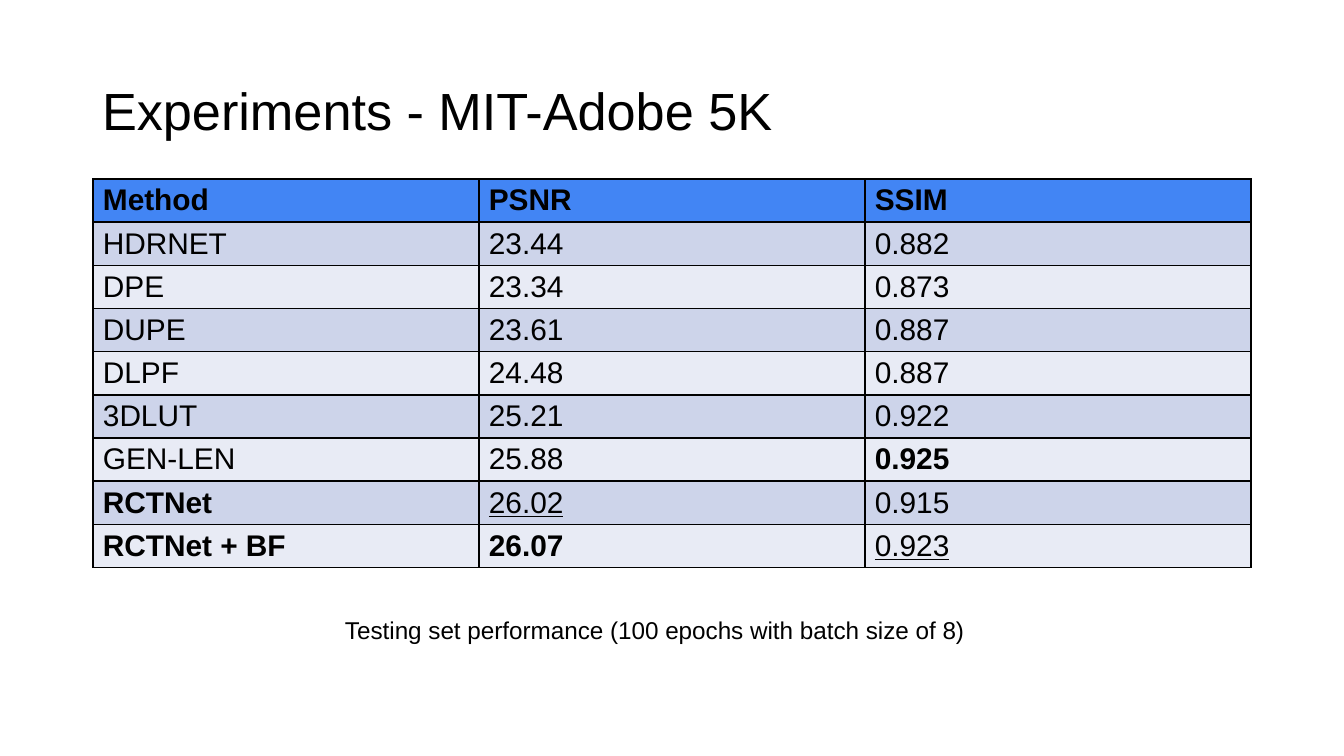
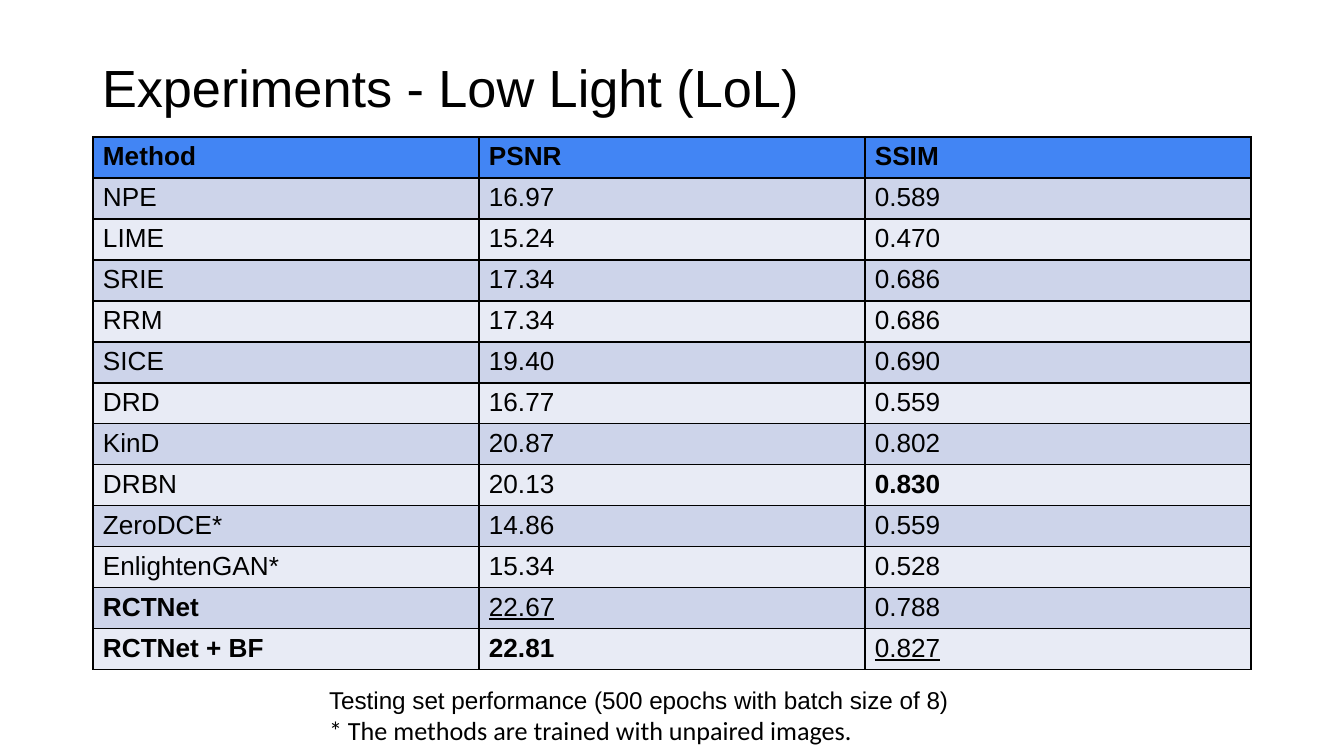
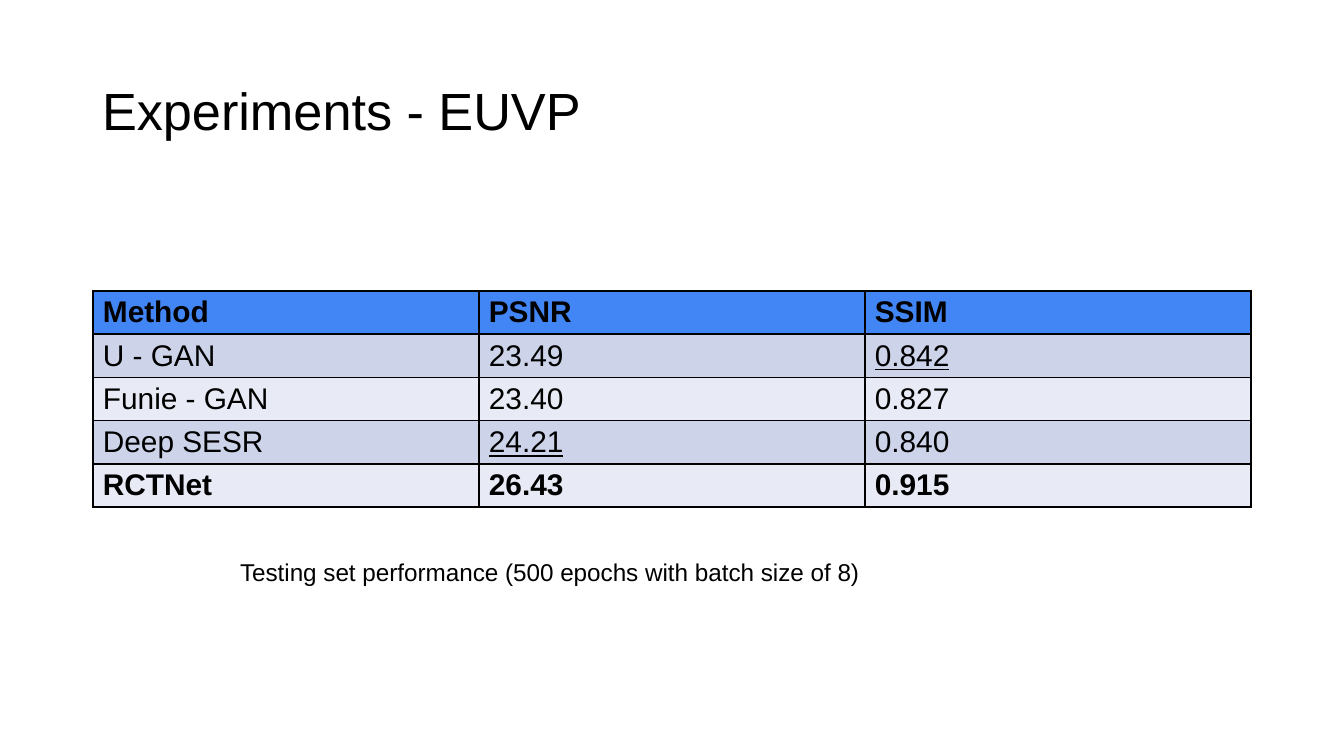
from lxml import etree
from pptx import Presentation
from pptx.dml.color import RGBColor
from pptx.enum.text import MSO_ANCHOR, MSO_AUTO_SIZE, PP_ALIGN
from pptx.oxml.ns import qn
from pptx.util import Emu, Pt

LEFT = PP_ALIGN.LEFT
TOP = MSO_ANCHOR.TOP
MIDDLE = MSO_ANCHOR.MIDDLE
NO_FIT = MSO_AUTO_SIZE.NONE
GROW = MSO_AUTO_SIZE.SHAPE_TO_FIT_TEXT

EMU_PER_PX = 914400 / 134.4
COLORS = {
    "text": "000000",
    "border": "000000",
    "background": "FFFFFF",
    "header": "4285F4",
    "odd_row": "CDD4EA",
    "even_row": "E8EBF5",
}
BODY_FONT = "Arial"
NOTE_FONT = "Calibri"
MARGIN_LEFT = 93
CONTENT_WIDTH = 1159
COLUMN_WIDTH = 386
TITLE_HEIGHT = 147
HEADINGS = ("Method", "PSNR", "SSIM")
OWN_METHOD = "RCTNet"

ADOBE_RESULTS = [
    ("HDRNET", "23.44", "0.882"),
    ("DPE", "23.34", "0.873"),
    ("DUPE", "23.61", "0.887"),
    ("DLPF", "24.48", "0.887"),
    ("3DLUT", "25.21", "0.922"),
    ("GEN-LEN", "25.88", "0.925"),
    ("RCTNet", "26.02", "0.915"),
    ("RCTNet + BF", "26.07", "0.923"),
]
LOW_LIGHT_RESULTS = [
    ("NPE", "16.97", "0.589"),
    ("LIME", "15.24", "0.470"),
    ("SRIE", "17.34", "0.686"),
    ("RRM", "17.34", "0.686"),
    ("SICE", "19.40", "0.690"),
    ("DRD", "16.77", "0.559"),
    ("KinD", "20.87", "0.802"),
    ("DRBN", "20.13", "0.830"),
    ("ZeroDCE*", "14.86", "0.559"),
    ("EnlightenGAN*", "15.34", "0.528"),
    ("RCTNet", "22.67", "0.788"),
    ("RCTNet + BF", "22.81", "0.827"),
]
EUVP_RESULTS = [
    ("U - GAN", "23.49", "0.842"),
    ("Funie - GAN", "23.40", "0.827"),
    ("Deep SESR", "24.21", "0.840"),
    ("RCTNet", "26.43", "0.915"),
]


def px(length):
    return Emu(round(length * EMU_PER_PX))


def color(name):
    return RGBColor.from_string(COLORS[name])


def set_margins(target, horizontal, vertical):
    target.margin_left = target.margin_right = px(horizontal)
    target.margin_top = target.margin_bottom = px(vertical)


def style_paragraph(para, size, font_name=BODY_FONT, spacing=None):
    para.alignment = LEFT
    para.line_spacing = spacing
    para.font.size = Pt(size)
    para.font.name = font_name
    para.font.color.rgb = color("text")


def add_page(deck, title, title_top):
    page = deck.slides.add_slide(deck.slide_layouts[5])
    page.background.fill.solid()
    page.background.fill.fore_color.rgb = color("background")
    box = page.shapes.title
    box.left, box.top = px(MARGIN_LEFT), px(title_top)
    box.width, box.height = px(CONTENT_WIDTH), px(TITLE_HEIGHT)
    frame = box.text_frame
    frame.text = title
    frame.word_wrap = True
    frame.auto_size = NO_FIT
    frame.vertical_anchor = MIDDLE
    set_margins(frame, 9, 5)
    style_paragraph(frame.paragraphs[0], 28, spacing=0.9)
    return page


def add_borders(cell):
    properties = cell._tc.get_or_add_tcPr()
    for side in ("a:lnL", "a:lnR", "a:lnT", "a:lnB"):
        line = etree.SubElement(properties, qn(side), w=str(Pt(1)))
        fill = etree.SubElement(line, qn("a:solidFill"))
        etree.SubElement(fill, qn("a:srgbClr"), val=COLORS["border"])


def fill_cell(cell, text, size, fill_name, bold, underline):
    cell.text = text
    set_margins(cell, 10, 5)
    cell.vertical_anchor = TOP
    add_borders(cell)
    cell.fill.solid()
    cell.fill.fore_color.rgb = color(fill_name)
    para = cell.text_frame.paragraphs[0]
    style_paragraph(para, size)
    para.font.bold = bold
    para.font.underline = underline


def add_results_table(page, results, top, row_height, size):
    rows = [HEADINGS, *results]
    table = page.shapes.add_table(
        len(rows), len(HEADINGS), px(MARGIN_LEFT), px(top),
        px(COLUMN_WIDTH * len(HEADINGS)), px(row_height * len(rows)),
    ).table
    for column in table.columns:
        column.width = px(COLUMN_WIDTH)
    for row in table.rows:
        row.height = px(row_height)
    rankings = [sorted(set(scores), key=float, reverse=True)
                for scores in list(zip(*results))[1:]]
    for row_index, values in enumerate(rows):
        fill_name = "odd_row" if row_index % 2 else "even_row"
        if row_index == 0:
            fill_name = "header"
        for column_index, value in enumerate(values):
            bold = row_index == 0 or value.startswith(OWN_METHOD)
            underline = False
            if row_index and column_index:
                best, second = rankings[column_index - 1][:2]
                bold, underline = value == best, value == second
            fill_cell(table.cell(row_index, column_index), value, size,
                      fill_name, bold, underline)


def add_caption(page, epochs, left, top, width, height, note=None):
    box = page.shapes.add_textbox(px(left), px(top), px(width), px(height))
    frame = box.text_frame
    frame.word_wrap = True
    frame.auto_size = GROW
    set_margins(frame, 13, 13)
    frame.text = f"Testing set performance ({epochs} epochs with batch size of 8)"
    style_paragraph(frame.paragraphs[0], 13, spacing=0.9)
    if note:
        para = frame.add_paragraph()
        para.text = note
        style_paragraph(para, 14, NOTE_FONT)


def main():
    deck = Presentation()
    deck.slide_width, deck.slide_height = px(1344), px(756)

    page = add_page(deck, "Experiments - MIT-Adobe 5K", 40)
    add_results_table(page, ADOBE_RESULTS, 179, 43, 16)
    add_caption(page, 100, 332, 605, 684, 54)

    page = add_page(deck, "Experiments - Low Light (LoL)", 17)
    add_results_table(page, LOW_LIGHT_RESULTS, 137, 41, 14)
    add_caption(page, 500, 316, 675, 702, 117,
                "* The methods are trained with unpaired images.")

    page = add_page(deck, "Experiments - EUVP", 40)
    add_results_table(page, EUVP_RESULTS, 291, 43, 16)
    add_caption(page, 500, 227, 547, 891, 54)

    deck.save("out.pptx")


if __name__ == "__main__":
    main()
